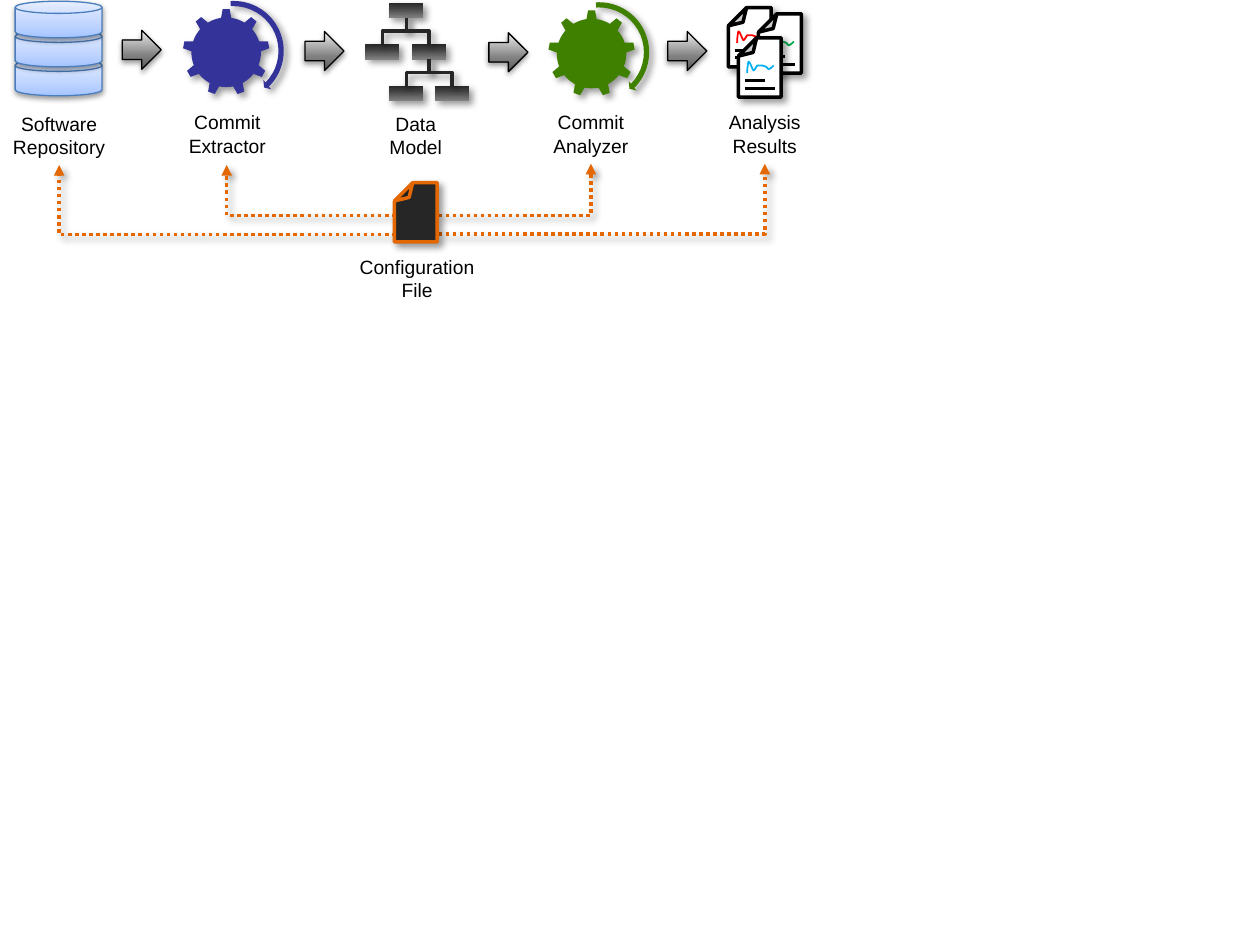
from lxml.etree import SubElement
from pptx import Presentation
from pptx.dml.color import RGBColor
from pptx.enum.dml import MSO_LINE
from pptx.enum.shapes import MSO_CONNECTOR, MSO_SHAPE
from pptx.enum.text import MSO_AUTO_SIZE, PP_ALIGN
from pptx.oxml.ns import qn
from pptx.util import Inches, Pt

SLIDE_W, SLIDE_H = Inches(10), Inches(7.5)
UNIT = SLIDE_W // 1000

LABELS = [
    (47, 84, 94, ("Software", "Repository")),
    (180.5, 83, 83, ("Commit", "Extractor")),
    (330, 84, 64, ("Data", "Model")),
    (469, 83, 80, ("Commit", "Analyzer")),
    (607, 83, 80, ("Analysis", "Results")),
    (331, 198, 112, ("Configuration", "File")),
]
LABEL_H = 47
FLOW_ARROWS = [(97, 24), (242, 25), (388, 26), (530, 25)]
GEARS = [(145, 7, "333399"), (435, 8, "408000")]
DISK_TOPS = [47, 24, 1]
TREE_NODES = {"root": (309, 2), "left": (290, 35), "right": (327, 35),
              "right left": (309, 68), "right right": (345, 68)}
TREE_LINKS = [("root", "left"), ("root", "right"),
              ("right", "right left"), ("right", "right right")]
NODE_W, NODE_H = 27, 12
PAGES = [(578, 6, "FF0000"), (602, 11, "00B050"), (586, 30, "00B0F0")]
PAGE_W, PAGE_H = 34, 47
PAGE_LINES = [(29, 40), (21, 34)]
SQUIGGLE = [(7, 28), (7, 23), (8, 19), (8, 19), (9, 18), (11, 25), (12, 26),
            (13, 26), (14, 23), (15, 22), (17, 22), (18, 22), (19, 22),
            (20, 22), (21, 23), (22, 23), (23, 23), (23, 25), (24, 25),
            (25, 25), (26, 24), (28, 22)]
CONFIG_FILE = (313, 145)
CONFIG_LINKS = [(314, 171, 180, 131), (314, 186, 47, 131),
                (348, 171, 469, 130), (348, 186, 607, 130)]

ORANGE, DARK, BLACK, WHITE = "E36803", "262626", "000000", "FFFFFF"
GREY_FADE = (("595959", "808080", "EEEEEE"), 270)
BLUE_FADE = (("A4C4FF", "BFD4FF", "E6EEFF"), 270)
DARK_FADE = ((DARK, "404040", "808080"), 90)
FADE_STOPS = (0, 35, 100)
SIDE_SHADOW = (40, 4, 3, 45)
LOW_SHADOW = (38, 3.1, 1.6, 90)


def rgb(value):
    return RGBColor.from_string(value)


def size(*shares):
    return [round(share * UNIT) for share in shares]


def add_colour(parent, value):
    return SubElement(parent, qn("a:srgbClr"), val=value)


def set_shadow(part, shadow):
    properties = part._element.spPr
    effects = properties.find(qn("a:effectLst"))
    if effects is None:
        effects = SubElement(properties, qn("a:effectLst"))
    if shadow:
        opacity, blur, distance, angle = shadow
        outer = SubElement(effects, qn("a:outerShdw"), blurRad=str(Pt(blur)),
                           dist=str(Pt(distance)), dir=str(angle * 60000),
                           rotWithShape="0")
        SubElement(add_colour(outer, BLACK), qn("a:alpha"), val=str(opacity * 1000))


def set_fill(part, paint):
    if isinstance(paint, str):
        part.fill.solid()
        part.fill.fore_color.rgb = rgb(paint)
        return
    colours, angle = paint
    part.fill.gradient()
    fade = part._element.spPr.find(qn("a:gradFill"))
    stops = fade.find(qn("a:gsLst"))
    for stop in list(stops):
        stops.remove(stop)
    for position, colour in zip(FADE_STOPS, colours):
        add_colour(SubElement(stops, qn("a:gs"), pos=str(position * 1000)), colour)
    fade.find(qn("a:lin")).set("ang", str(angle * 60000))


def set_line(part, colour, width):
    part.line.color.rgb = rgb(colour)
    part.line.width = Pt(width)


def set_guides(part, guides):
    geometry = part._element.spPr.find(qn("a:prstGeom"))
    for old in geometry.findall(qn("a:avLst")):
        geometry.remove(old)
    values = SubElement(geometry, qn("a:avLst"))
    for name, value in guides.items():
        SubElement(values, qn("a:gd"), name=name, fmla=f"val {value}")


def add_part(shapes, preset, box, paint, shadow, outline=None):
    part = shapes.add_shape(preset, *size(*box))
    set_fill(part, paint)
    if outline:
        set_line(part, *outline)
    else:
        part.line.fill.background()
    part.shadow.inherit = False
    set_shadow(part, shadow)
    return part


def add_link(shapes, route, ends, colour, width, shadow=None):
    link = shapes.add_connector(route, *size(*ends))
    set_line(link, colour, width)
    set_shadow(link, shadow)
    return link


def add_page(shapes, left, top, paint, edge):
    page = add_part(shapes, MSO_SHAPE.FOLDED_CORNER, (left, top, PAGE_W, PAGE_H),
                    paint, SIDE_SHADOW, (edge, 2))
    set_guides(page, {"adj": 42700})
    page.rotation = 180


def add_squiggle(shapes, left, top, colour):
    points = [(left + x, top + y) for x, y in SQUIGGLE]
    builder = shapes.build_freeform(*points[0], scale=UNIT)
    builder.add_line_segments(points[1:], close=False)
    squiggle = builder.convert_to_shape()
    segments = list(squiggle._element.iter(qn("a:lnTo")))
    for first in range(0, len(segments), 3):
        outline = segments[first].getparent()
        curve = SubElement(outline, qn("a:cubicBezTo"))
        for segment in segments[first:first + 3]:
            curve.append(segment[0])
            outline.remove(segment)
    squiggle.fill.background()
    set_line(squiggle, colour, 1)
    squiggle.shadow.inherit = False


def add_tree_link(shapes, parent, child):
    (x1, y1), (x2, y2) = TREE_NODES[parent], TREE_NODES[child]
    start_x, end_x, start_y = x1 + NODE_W / 2, x2 + NODE_W / 2, y1 + NODE_H
    middle_x, middle_y = (start_x + end_x) / 2, (start_y + y2) / 2
    half_w, half_h = (y2 - start_y) / 2, abs(end_x - start_x) / 2
    side, turn = (1, 90) if end_x < start_x else (-1, 270)
    ends = (middle_x - side * half_w, middle_y - half_h,
            middle_x + side * half_w, middle_y + half_h)
    link = add_link(shapes, MSO_CONNECTOR.ELBOW, ends, DARK, 2, SIDE_SHADOW)
    link._element.spPr.find(qn("a:xfrm")).set("rot", str(turn * 60000))


def add_label(shapes, centre, top, width, lines):
    label = shapes.add_textbox(*size(centre - width / 2, top, width, LABEL_H))
    frame = label.text_frame
    frame.word_wrap = False
    frame.auto_size = MSO_AUTO_SIZE.SHAPE_TO_FIT_TEXT
    for index, line in enumerate(lines):
        paragraph = frame.add_paragraph() if index else frame.paragraphs[0]
        paragraph.alignment = PP_ALIGN.CENTER
        run = paragraph.add_run()
        run.text = line
        run.font.name, run.font.size = "Arial", Pt(11)
        run.font.color.rgb = rgb(BLACK)


deck = Presentation()
deck.slide_width, deck.slide_height = SLIDE_W, SLIDE_H
shapes = deck.slides.add_slide(deck.slide_layouts[6]).shapes

for label in LABELS:
    add_label(shapes, *label)
for left, top in FLOW_ARROWS:
    add_part(shapes, MSO_SHAPE.RIGHT_ARROW, (left, top, 31, 31),
             GREY_FADE, LOW_SHADOW, (BLACK, 0.75))
for left, top, colour in GEARS:
    gear = shapes.add_group_shape().shapes
    add_part(gear, MSO_SHAPE.GEAR_9, (left, top, 69, 69), colour, SIDE_SHADOW)
    turn = add_part(gear, MSO_SHAPE.CIRCULAR_ARROW, (left - 2, top - 9, 85, 85),
                    colour, SIDE_SHADOW)
    set_guides(turn, {"adj1": 4900, "adj2": 312600, "adj3": 2700100,
                      "adj4": 15979500, "adj5": 5700})
results = shapes.add_group_shape().shapes
for left, top, colour in PAGES:
    add_page(results, left, top, WHITE, BLACK)
    for right, y in PAGE_LINES:
        add_link(results, MSO_CONNECTOR.STRAIGHT,
                 (left + 5, top + y, left + right, top + y), BLACK, 1.75)
    add_squiggle(results, left, top, colour)
repository = shapes.add_group_shape().shapes
for top in DISK_TOPS:
    add_part(repository, MSO_SHAPE.FLOWCHART_MAGNETIC_DISK, (12, top, 69, 29),
             BLUE_FADE, LOW_SHADOW, ("4B7EBC", 0.75))
model = shapes.add_group_shape().shapes
for left, top in TREE_NODES.values():
    add_part(model, MSO_SHAPE.RECTANGLE, (left, top, NODE_W, NODE_H),
             DARK_FADE, SIDE_SHADOW)
for parent, child in TREE_LINKS:
    add_tree_link(model, parent, child)
for ends in CONFIG_LINKS:
    link = add_link(shapes, MSO_CONNECTOR.ELBOW, ends, ORANGE, 2, SIDE_SHADOW)
    link.line.dash_style = MSO_LINE.ROUND_DOT
    properties = link._element.spPr
    properties.find(qn("a:prstGeom")).set("prst", "bentConnector2")
    SubElement(properties.find(qn("a:ln")), qn("a:tailEnd"), type="triangle")
add_page(shapes, *CONFIG_FILE, DARK, ORANGE)

deck.save("out.pptx")
